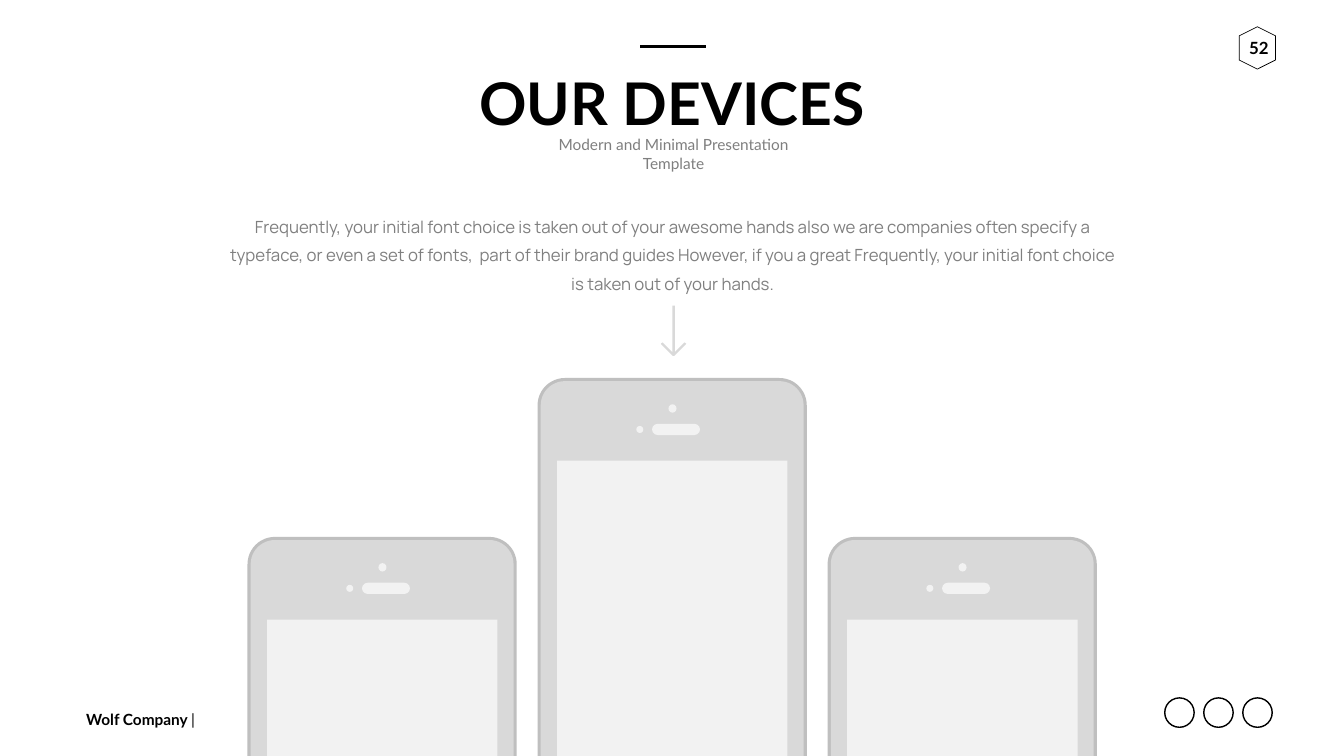
import dataclasses
import pptx
import pptx.util
import pptx.dml.color
import pptx.enum.shapes
import pptx.enum.text
import lxml.etree

Pt = pptx.util.Pt
Kind = pptx.enum.shapes.MSO_SHAPE
Align = pptx.enum.text.PP_ALIGN
Anchor = pptx.enum.text.MSO_ANCHOR


@dataclasses.dataclass(frozen=True)
class Theme:
    black: str = "000000"
    grey: str = "7F7F7F"
    rim: str = "BFBFBF"
    shell: str = "D9D9D9"
    pale: str = "F2F2F2"
    head: str = "Lato"
    body: str = "Manrope"
    title: int = 84
    note: int = 22
    text: int = 24


def color(code):
    return pptx.dml.color.RGBColor.from_string(code)


def write(frame, *runs, font, size, tint, align=Align.CENTER,
          anchor=Anchor.TOP, inset=(7.2, 3.6), leading=None):
    frame.word_wrap = True
    frame.vertical_anchor = anchor
    frame.margin_left = frame.margin_right = Pt(inset[0])
    frame.margin_top = frame.margin_bottom = Pt(inset[1])
    para = frame.paragraphs[0]
    para.alignment = align
    if leading:
        para.line_spacing = Pt(leading)
    for words, bold in runs:
        run = para.add_run()
        run.text = words
        run.font.name = font
        run.font.size = Pt(size)
        run.font.bold = bold
        run.font.color.rgb = color(tint)


class Deck:
    def __init__(self, theme, slide):
        self.theme = theme
        self.slide = slide

    def paint(self, shape, fill=None, line=None, weight=1):
        shape.shadow.inherit = False
        if fill:
            shape.fill.solid()
            shape.fill.fore_color.rgb = color(fill)
        else:
            shape.fill.background()
        if line:
            shape.line.color.rgb = color(line)
            shape.line.width = Pt(weight)
        else:
            shape.line.fill.background()
        return shape

    def shape(self, kind, left, top, width, height, **look):
        item = self.slide.shapes.add_shape(
            kind, Pt(left), Pt(top), Pt(width), Pt(height))
        return self.paint(item, **look)

    def round(self, left, top, width, height, radius, fill):
        item = self.shape(Kind.ROUNDED_RECTANGLE, left, top, width, height, fill=fill)
        item.adjustments[0] = radius / min(width, height)

    def text(self, left, top, width, height, *runs, **form):
        box = self.slide.shapes.add_textbox(Pt(left), Pt(top), Pt(width), Pt(height))
        write(box.text_frame, *runs, **form)

    def line(self, left, top, right, base, tint, weight):
        item = self.slide.shapes.add_connector(
            pptx.enum.shapes.MSO_CONNECTOR.STRAIGHT,
            Pt(left), Pt(top), Pt(right), Pt(base))
        item.line.color.rgb = color(tint)
        item.line.width = Pt(weight)
        lxml.etree.SubElement(item._element.spPr, pptx.oxml.ns.qn("a:effectLst"))

    def arrow(self, mid, top, tint):
        half = [(1.8, 0), (1.8, 66.5), (15.5, 52.8), (18, 54.3), (17.5, 55.5), (1, 72)]
        edge = half + [(-x, y) for x, y in reversed(half)]
        points = [(Pt(mid + x), Pt(top + y)) for x, y in edge]
        path = self.slide.shapes.build_freeform(*points[0])
        path.add_line_segments(points[1:], close=True)
        self.paint(path.convert_to_shape(), fill=tint)

    def phone(self, left, top):
        look = self.theme
        self.round(left, top, 384.5, 798.5, 39, look.rim)
        self.round(left + 4.5, top + 4.5, 375.5, 789.5, 34.5, look.shell)
        self.shape(Kind.OVAL, left + 187, top + 37.5, 11.5, 12, fill=look.pale)
        self.shape(Kind.RECTANGLE, left + 28, top + 118, 329, 577.5, fill=look.pale)
        self.round(left + 163.5, top + 65.5, 68.5, 16, 8, look.pale)
        self.shape(Kind.OVAL, left + 141, top + 68.5, 10, 10, fill=look.pale)


def main():
    show = pptx.Presentation()
    show.slide_width = Pt(1919.5)
    show.slide_height = Pt(1080)
    look = Theme()
    deck = Deck(look, show.slides.add_slide(show.slide_layouts[6]))

    deck.text(116, 1010, 300, 34, ("Wolf Company ", True), ("|", False),
              font=look.head, size=look.note, tint=look.black,
              align=Align.LEFT, anchor=Anchor.MIDDLE)
    badge = deck.shape(Kind.HEXAGON, 1765.5, 42.5, 60.5, 52, line=look.black)
    badge.rotation = 90
    deck.text(1764, 47, 68, 44, ("52", True), font=look.head, size=look.text,
              tint=look.black, inset=(14.4, 7.2))
    for place in range(3):
        deck.shape(Kind.OVAL, 1663.5 + place * 55.75, 997, 42, 42,
                   line=look.black, weight=2)

    for place, top in enumerate((767, 540, 767)):
        deck.phone(353.5 + place * 414.25, top)

    deck.text(676, 92, 567.5, 109, ("OUR DEVICES", True),
              font=look.head, size=look.title, tint=look.black)
    deck.text(747.5, 203, 429, 34, ("Modern and Minimal Presentation Template", False),
              font=look.head, size=look.note, tint=look.grey, anchor=Anchor.MIDDLE)
    deck.line(914.5, 66, 1008, 66, look.black, 4.5)
    deck.text(311, 289.5, 1299, 138,
              ("Frequently, your initial font choice is taken out of your awesome hands "
               "also we are companies often specify a typeface, or even a set of fonts, "
               " part of their brand guides However, if you a great Frequently, your "
               "initial font choice is taken out of your hands.", False),
              font=look.body, size=look.text, tint=look.grey,
              inset=(17.3, 8.6), leading=40.4)
    deck.arrow(962, 436.5, look.shell)

    show.save("out.pptx")


if __name__ == "__main__":
    main()
